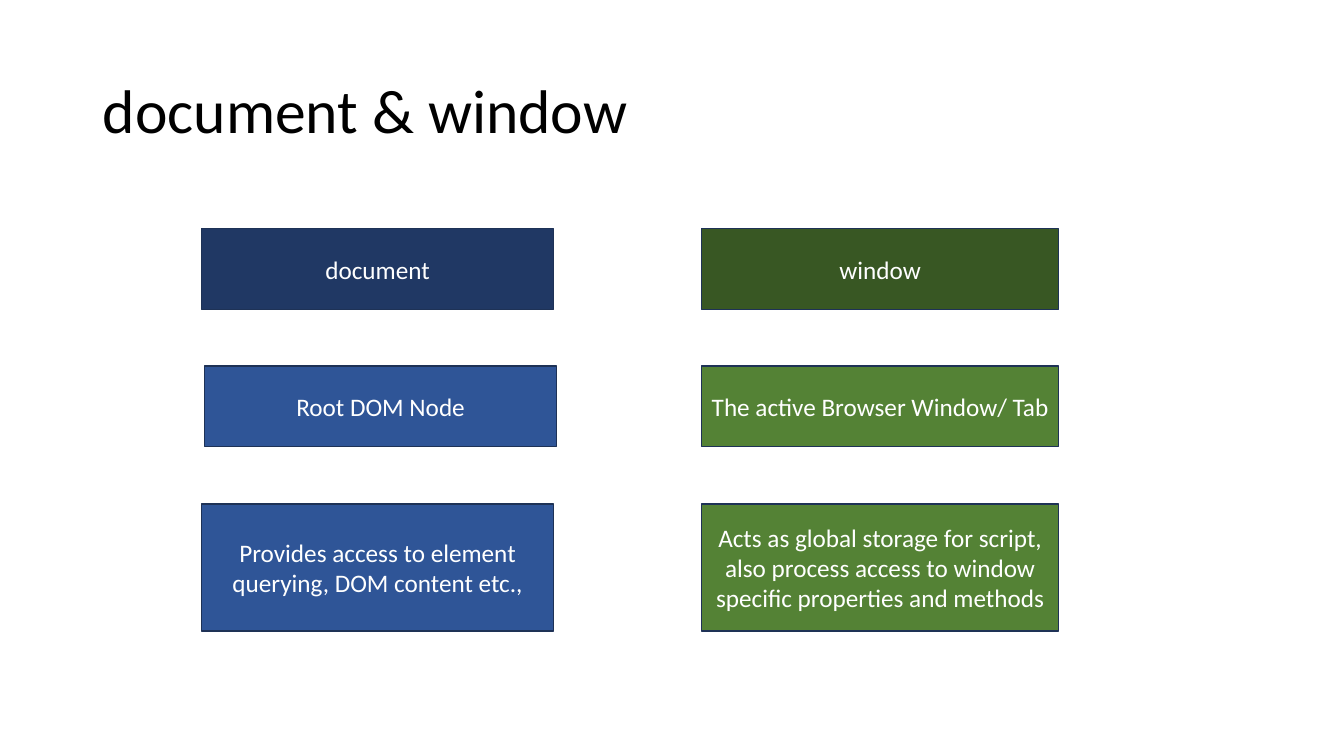
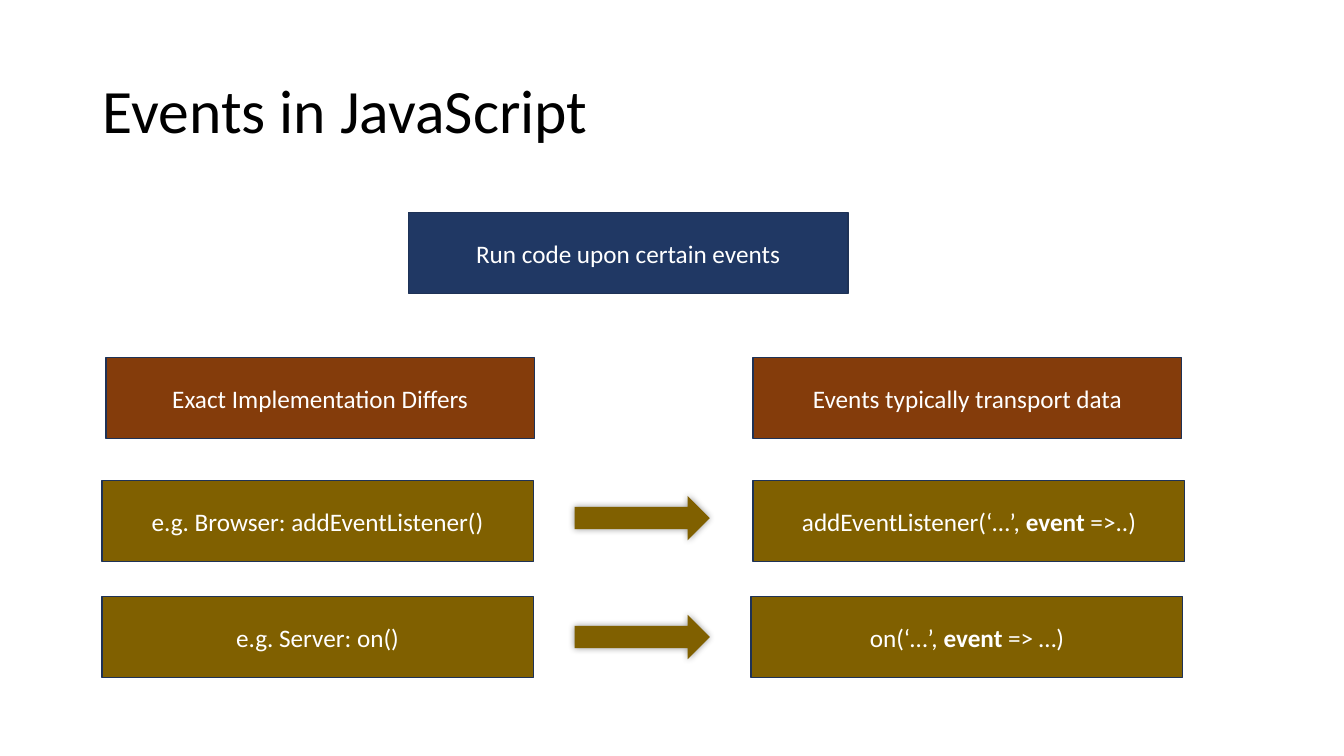
from pptx import Presentation
from pptx.dml.color import RGBColor
from pptx.enum.shapes import MSO_SHAPE
from pptx.enum.text import MSO_ANCHOR, PP_ALIGN
from pptx.oxml import parse_xml
from pptx.oxml.ns import qn
from pptx.util import Inches, Pt

RECTANGLE = MSO_SHAPE.RECTANGLE
RIGHT_ARROW = MSO_SHAPE.RIGHT_ARROW
MIDDLE = MSO_ANCHOR.MIDDLE
LEFT, CENTER = PP_ALIGN.LEFT, PP_ALIGN.CENTER

FONT = "Calibri"
COLORS = {
    "title": "000000",
    "label": "FFFFFF",
    "outline": "1E3256",
    "navy": "203864",
    "blue": "2F5597",
    "forest": "385723",
    "green": "548235",
    "rust": "843C0B",
    "olive": "806000",
}
BOX_HEIGHT = 0.8

ARROW_SHADOW = (
    '<a:outerShdw xmlns:a="http://schemas.openxmlformats.org/drawingml/2006/main" '
    'blurRad="63500" dist="0" dir="0" algn="ctr" rotWithShape="0">'
    '<a:srgbClr val="000000"><a:alpha val="40000"/></a:srgbClr></a:outerShdw>'
)


def add_titled_slide(heading):
    slide = prs.slides.add_slide(title_only)
    title = slide.shapes.title
    title.left, title.top = Inches(0.92), Inches(0.4)
    title.width, title.height = Inches(11.5), Inches(1.45)
    title.text_frame.text = heading
    title.text_frame.vertical_anchor = MIDDLE
    line = title.text_frame.paragraphs[0]
    line.alignment = LEFT
    line.line_spacing = 0.9
    line.font.name, line.font.size = FONT, Pt(44)
    line.font.color.rgb = RGBColor.from_string(COLORS["title"])
    return slide


def add_box(slide, text, color, left, top, width, height=BOX_HEIGHT):
    """Draw a labelled box; text between bars is bold."""
    box = slide.shapes.add_shape(
        RECTANGLE, Inches(left), Inches(top), Inches(width), Inches(height))
    box.shadow.inherit = False
    box.fill.solid()
    box.fill.fore_color.rgb = RGBColor.from_string(COLORS[color])
    box.line.color.rgb = RGBColor.from_string(COLORS["outline"])
    box.line.width = Pt(1)
    box.text_frame.word_wrap = True
    box.text_frame.vertical_anchor = MIDDLE
    label = box.text_frame.paragraphs[0]
    label.alignment = CENTER
    label.font.name, label.font.size = FONT, Pt(18)
    label.font.color.rgb = RGBColor.from_string(COLORS["label"])
    for index, part in enumerate(text.split("|")):
        run = label.add_run()
        run.text = part
        if index % 2:
            run.font.bold = True


prs = Presentation()
prs.slide_width, prs.slide_height = Inches(13.33), Inches(7.5)
title_only = prs.slide_layouts[5]

# Slide 1: the two global objects, side by side
globals_slide = add_titled_slide("document & window")
row_tops = (2.27, 3.63, 5)
row_heights = (BOX_HEIGHT, BOX_HEIGHT, 1.26)
global_objects = [
    (3.49, (2, 2.03, 2), ("navy", "blue", "blue"), (
        "document",
        "Root DOM Node",
        "Provides access to element querying, DOM content etc.,")),
    (3.54, (6.96, 6.96, 6.96), ("forest", "green", "green"), (
        "window",
        "The active Browser Window/ Tab",
        "Acts as global storage for script, also process access to window "
        "specific properties and methods")),
]
for width, lefts, colors, texts in global_objects:
    for text, color, left, top, height in zip(
            texts, colors, lefts, row_tops, row_heights):
        add_box(globals_slide, text, color, left, top, width, height)

# Slide 2: purpose of events, then implementation and data
events_slide = add_titled_slide("Events in JavaScript")
add_box(events_slide, "Run code upon certain events", "navy", 4.05, 2.11, 4.36)
event_rows = [
    (3.55, 4.25, "rust",
     (1.05, "Exact Implementation Differs"),
     (7.47, "Events typically transport data")),
    (4.77, 4.28, "olive",
     (1.01, "e.g. Browser: addEventListener()"),
     (7.47, "addEventListener(‘…’, |event| =>..)")),
    (5.92, 4.28, "olive",
     (1.01, "e.g. Server: on()"),
     (7.45, "on(‘…’, |event| => …)")),
]
for top, width, color, *pair in event_rows:
    for left, text in pair:
        add_box(events_slide, text, color, left, top, width)

# Arrows from each listener to its data
for top in (4.92, 6.1):
    arrow = events_slide.shapes.add_shape(
        RIGHT_ARROW, Inches(5.7), Inches(top), Inches(1.34), Inches(0.44))
    arrow.fill.solid()
    arrow.fill.fore_color.rgb = RGBColor.from_string(COLORS["olive"])
    arrow.line.fill.background()
    arrow.shadow.inherit = False
    effects = arrow.element.spPr.find(qn("a:effectLst"))
    effects.append(parse_xml(ARROW_SHADOW))

prs.save("out.pptx")
